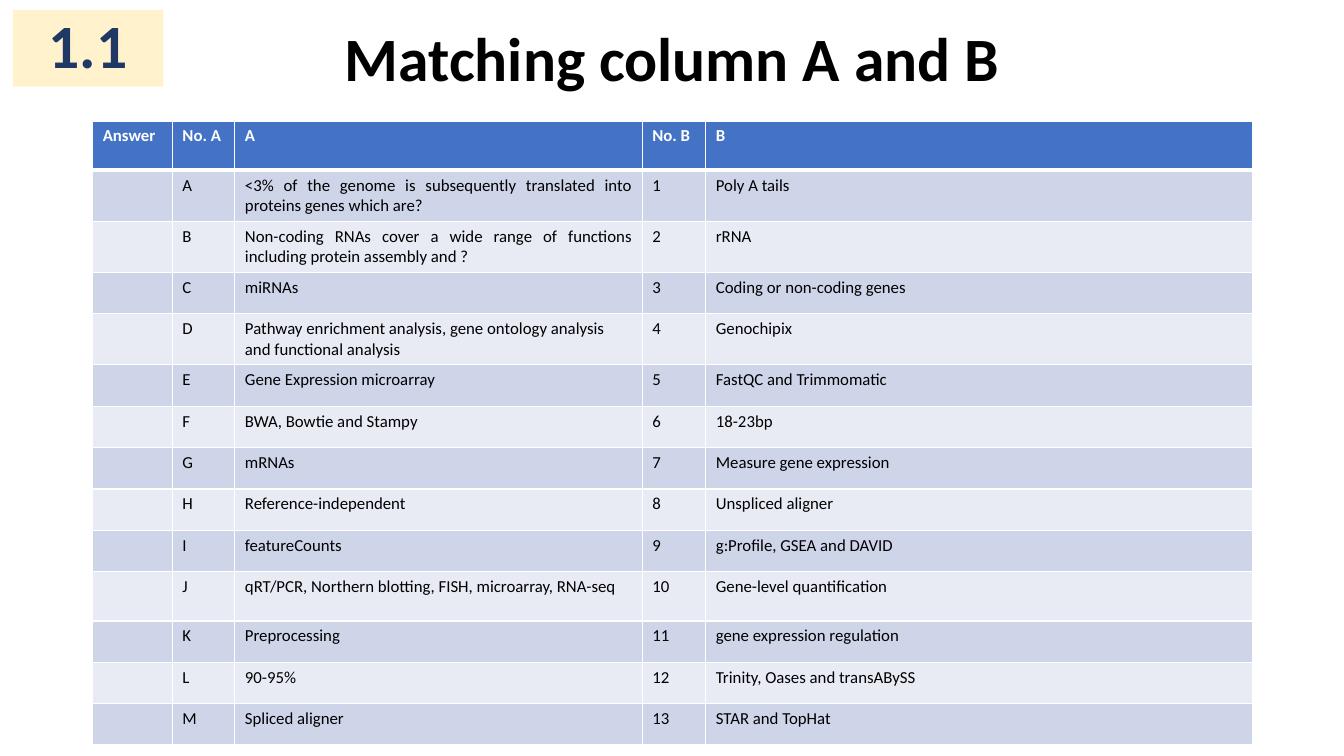
from lxml import etree
from pptx import Presentation
from pptx.dml.color import RGBColor
from pptx.enum.shapes import MSO_SHAPE
from pptx.enum.text import MSO_ANCHOR, MSO_AUTO_SIZE, PP_ALIGN
from pptx.oxml.ns import qn
from pptx.util import Inches, Pt

RECTANGLE = MSO_SHAPE.RECTANGLE
TOP, MIDDLE = MSO_ANCHOR.TOP, MSO_ANCHOR.MIDDLE
NO_FIT = MSO_AUTO_SIZE.NONE
LEFT, CENTER, JUSTIFY = PP_ALIGN.LEFT, PP_ALIGN.CENTER, PP_ALIGN.JUSTIFY
TITLE_ONLY = 5

COLORS = {
    "black": "000000",
    "white": "FFFFFF",
    "header": "4472C4",
    "odd_row": "CFD5E9",
    "even_row": "E8EBF4",
    "badge": "FFF2CC",
    "navy": "203864",
}

# Widths and heights are percentages of the slide's width and height.
COLUMN_WIDTHS = [5.93, 4.65, 30.31, 4.73, 40.65]
TALL_ROW, SHORT_ROW = 6.53, 5.47
TALL_ROWS = {0, 1, 2, 4, 10}
THIN_LINE, HEADER_LINE = 0.96, 3

HEADER = ["Answer", "No. A", "A", "No. B", "B"]
PAIRS = [
    ("<3% of the genome is subsequently translated into proteins genes which are?",
     "Poly A tails"),
    ("Non-coding RNAs cover a wide range of functions including protein assembly and ?",
     "rRNA"),
    ("miRNAs", "Coding or non-coding genes"),
    ("Pathway enrichment analysis, gene ontology analysis and functional analysis",
     "Genochipix"),
    ("Gene Expression microarray", "FastQC and Trimmomatic"),
    ("BWA, Bowtie and Stampy", "18-23bp"),
    ("mRNAs", "Measure gene expression"),
    ("Reference-independent", "Unspliced aligner"),
    ("featureCounts", "g:Profile, GSEA and DAVID"),
    ("qRT/PCR, Northern blotting, FISH, microarray, RNA-seq",
     "Gene-level quantification"),
    ("Preprocessing", "gene expression regulation"),
    ("90-95%", "Trinity, Oases and transABySS"),
    ("Spliced aligner", "STAR and TopHat"),
]
JUSTIFIED = {(1, 2), (2, 2), (3, 4)}


def color(name):
    return RGBColor.from_string(COLORS[name])


class SlideBuilder:
    font_name = "Calibri"

    def __init__(self, deck):
        self.deck = deck
        self.slide = deck.slides.add_slide(deck.slide_layouts[TITLE_ONLY])

    def across(self, percent):
        return round(self.deck.slide_width * percent / 100)

    def down(self, percent):
        return round(self.deck.slide_height * percent / 100)

    def area(self, left, top, width, height):
        """Turn percentages of the slide into lengths."""
        return self.across(left), self.down(top), self.across(width), self.down(height)

    def set_text(self, frame, text, size, tint, bold=False, align=LEFT, spacing=None):
        frame.text = text
        para = frame.paragraphs[0]
        para.alignment = align
        if spacing:
            para.line_spacing = spacing
        style = {"name": self.font_name, "size": Pt(size), "bold": bold}
        for span in para.runs:
            for attribute, value in style.items():
                setattr(span.font, attribute, value)
            span.font.color.rgb = color(tint)

    def title(self, text, area):
        box = self.slide.shapes.title
        for side, length in zip(("left", "top", "width", "height"), self.area(*area)):
            setattr(box, side, length)
        frame = box.text_frame
        frame.auto_size = NO_FIT
        frame.vertical_anchor = MIDDLE
        self.set_text(frame, text, 44, "black", True, CENTER, 0.9)

    def badge(self, text, area):
        box = self.slide.shapes.add_shape(RECTANGLE, *self.area(*area))
        box.shadow.inherit = False
        box.fill.solid()
        box.fill.fore_color.rgb = color("badge")
        box.line.fill.background()
        box.text_frame.vertical_anchor = TOP
        self.set_text(box.text_frame, text, 44, "navy", True, CENTER, 0.9)

    def borders(self, cell, top, bottom):
        """Draw white cell borders with the given top and bottom widths."""
        properties = cell._tc.get_or_add_tcPr()
        widths = {"L": THIN_LINE, "R": THIN_LINE, "T": top, "B": bottom}
        for side, width in widths.items():
            line = etree.SubElement(properties, qn(f"a:ln{side}"), w=str(Pt(width)))
            fill = etree.SubElement(line, qn("a:solidFill"))
            etree.SubElement(fill, qn("a:srgbClr"), val=COLORS["white"])

    def table(self, rows, left, top):
        heights = [TALL_ROW if number in TALL_ROWS else SHORT_ROW
                   for number in range(len(rows))]
        area = self.area(left, top, sum(COLUMN_WIDTHS), sum(heights))
        table = self.slide.shapes.add_table(len(rows), len(COLUMN_WIDTHS), *area).table
        table.first_row = table.horz_banding = False
        for column, width in zip(table.columns, COLUMN_WIDTHS):
            column.width = self.across(width)
        for number, (texts, height) in enumerate(zip(rows, heights)):
            table.rows[number].height = self.down(height)
            is_header = number == 0
            fill = "header" if is_header else "odd_row" if number % 2 else "even_row"
            for position, text in enumerate(texts):
                cell = table.cell(number, position)
                self.borders(cell, HEADER_LINE if number == 1 else THIN_LINE,
                             HEADER_LINE if is_header else THIN_LINE)
                cell.fill.solid()
                cell.fill.fore_color.rgb = color(fill)
                align = JUSTIFY if (number, position) in JUSTIFIED else LEFT
                self.set_text(cell.text_frame, text, 12,
                              "white" if is_header else "black", is_header, align)


def main():
    deck = Presentation()
    deck.slide_width, deck.slide_height = Inches(13.33), Inches(7.5)
    builder = SlideBuilder(deck)
    builder.title("Matching column A and B", (6.9, 2.93, 86.27, 10.4))
    rows = [HEADER] + [
        ["", chr(ord("A") + index), question, str(index + 1), answer]
        for index, (question, answer) in enumerate(PAIRS)
    ]
    builder.table(rows, 6.9, 16)
    builder.badge("1.1", (0.98, 1.33, 11.18, 10.13))
    deck.save("out.pptx")


if __name__ == "__main__":
    main()
